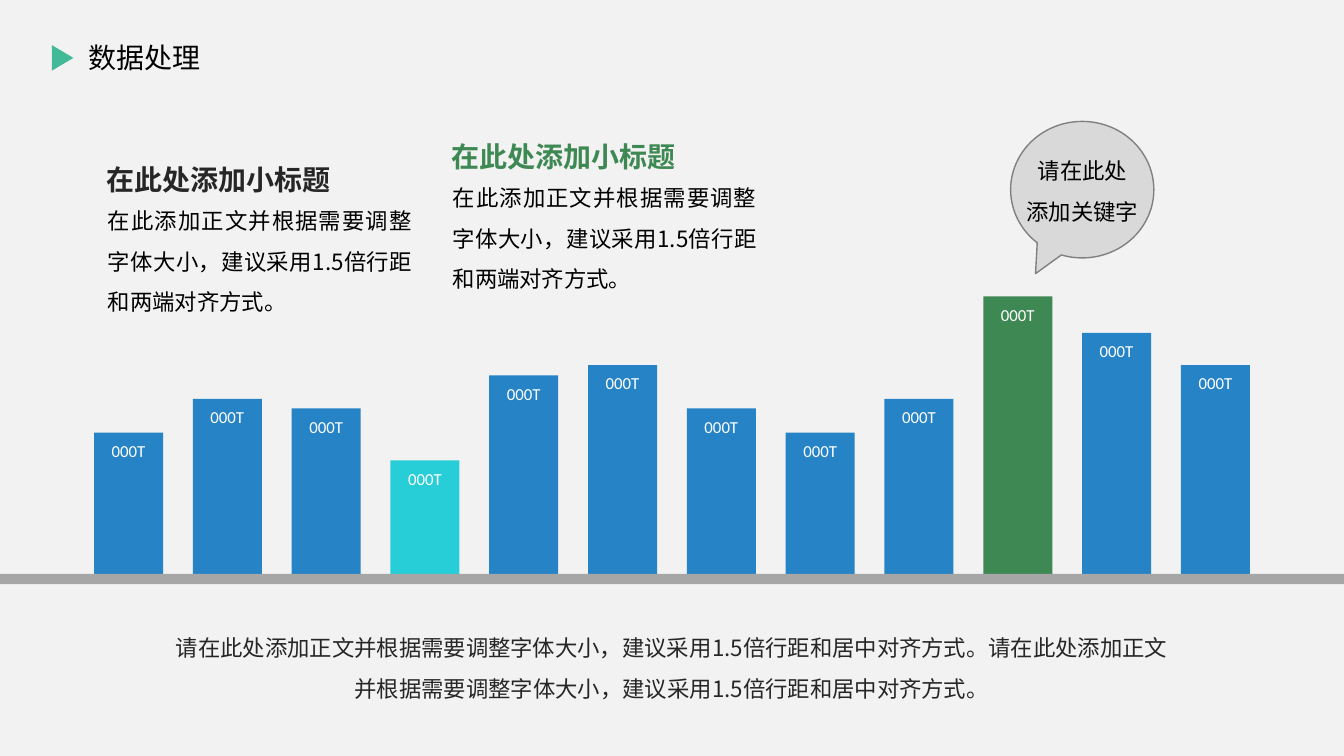
from dataclasses import dataclass
from typing import Optional

from lxml.etree import SubElement
from pptx import Presentation
from pptx.dml.color import RGBColor
from pptx.enum.shapes import MSO_SHAPE as Preset
from pptx.enum.text import MSO_ANCHOR as Anchor
from pptx.enum.text import MSO_AUTO_SIZE as AutoSize
from pptx.enum.text import PP_ALIGN as Align
from pptx.oxml.ns import qn
from pptx.util import Cm, Pt


@dataclass(frozen=True)
class Theme:
    background: str = "F2F2F2"
    blue: str = "2683C6"
    cyan: str = "27CED7"
    green: str = "3E8853"
    mint: str = "42BA97"
    ground: str = "A6A6A6"
    bubble: str = "D9D9D9"
    outline: str = "808080"
    dark: str = "262626"
    black: str = "000000"
    white: str = "FFFFFF"
    latin: str = "Calibri"
    chinese: str = "Noto Sans CJK SC"
    heading_size: int = 20
    body_size: int = 16
    label_size: int = 12


THEME = Theme()


@dataclass(frozen=True)
class Bar:
    height: float
    color: str = THEME.blue


@dataclass(frozen=True)
class Caption:
    left: float
    top: float
    color: str


# All lengths are in centimetres
BASELINE = 14.46
BAR_LEFT, BAR_PITCH, BAR_WIDTH = 2.37, 2.49, 1.74
BARS = [
    Bar(3.56), Bar(4.41), Bar(4.17), Bar(2.86, THEME.cyan),
    Bar(5.0), Bar(5.26), Bar(4.17), Bar(3.56),
    Bar(4.41), Bar(6.99, THEME.green), Bar(6.07), Bar(5.26),
]
CAPTIONS = [Caption(2.43, 3.96, THEME.dark), Caption(11.12, 3.38, THEME.green)]
CAPTION_TITLE = "在此处添加小标题"
CAPTION_BODY = "在此添加正文并根据需要调整字体大小，建议采用1.5倍行距和两端对齐方式。"
SUMMARY = (
    "请在此处添加正文并根据需要调整字体大小，建议采用1.5倍行距和居中对齐方式。"
    "请在此处添加正文并根据需要调整字体大小，建议采用1.5倍行距和居中对齐方式。"
)


def write(shape, text: str, *, size: int, color: str, font: str = THEME.chinese,
          bold: bool = False, align: Align = Align.LEFT,
          spacing: Optional[float] = None, side: float = 0, top: float = 0.13,
          wrap: bool = True, grow: bool = True) -> None:
    """Fill a shape with text, one paragraph per line."""
    frame = shape.text_frame
    frame.word_wrap = wrap
    frame.auto_size = AutoSize.SHAPE_TO_FIT_TEXT if grow else AutoSize.NONE
    frame.vertical_anchor = Anchor.TOP
    frame.margin_left = frame.margin_right = Cm(side)
    frame.margin_top, frame.margin_bottom = Cm(top), Cm(0.13)
    frame.text = text
    for paragraph in frame.paragraphs:
        paragraph.alignment = align
        if spacing:
            paragraph.line_spacing = spacing
        for run in paragraph.runs:
            run.font.size, run.font.bold, run.font.name = Pt(size), bold, font
            run.font.color.rgb = RGBColor.from_string(color)
            east_asian = SubElement(run._r.get_or_add_rPr(), qn("a:ea"))
            east_asian.set("typeface", THEME.chinese)


def add_block(shapes, preset: Preset, left: float, top: float, width: float,
              height: float, fill: str, outline: Optional[str] = None):
    block = shapes.add_shape(preset, Cm(left), Cm(top), Cm(width), Cm(height))
    block.shadow.inherit = False
    block.fill.solid()
    block.fill.fore_color.rgb = RGBColor.from_string(fill)
    if outline:
        block.line.color.rgb = RGBColor.from_string(outline)
        block.line.width = Pt(1)
    else:
        block.line.fill.background()
    return block


def add_text(shapes, left: float, top: float, width: float, height: float,
             text: str, **style) -> None:
    box = shapes.add_textbox(Cm(left), Cm(top), Cm(width), Cm(height))
    write(box, text, **style)


def add_bar(shapes, index: int, bar: Bar) -> None:
    column = add_block(shapes, Preset.RECTANGLE, BAR_LEFT + index * BAR_PITCH,
                       BASELINE - bar.height, BAR_WIDTH, bar.height, bar.color)
    write(column, "000T", size=THEME.label_size, color=THEME.white,
          font=THEME.latin, align=Align.CENTER, top=0.2, grow=False)


def add_caption(shapes, caption: Caption) -> None:
    group = shapes.add_group_shape().shapes
    add_text(group, caption.left, caption.top, 7.95, 1.11, CAPTION_TITLE,
             size=THEME.heading_size, color=caption.color, bold=True, side=0.25)
    add_text(group, caption.left + 0.29, caption.top + 0.8, 7.66, 3.23,
             CAPTION_BODY, size=THEME.body_size, color=THEME.black,
             align=Align.JUSTIFY, spacing=1.5)


def add_callout(shapes) -> None:
    group = shapes.add_group_shape().shapes
    bubble = add_block(group, Preset.OVAL_CALLOUT, 25.47, 3.06, 3.61, 3.44,
                       THEME.bubble, THEME.outline)
    bubble.adjustments[0], bubble.adjustments[1] = -0.326, 0.615
    # Unfilled keyword, high enough for its wide line to fit the oval
    add_text(group, 25.86, 3.5, 2.84, 2.18, "请在此处\n添加关键字",
             size=THEME.body_size, color=THEME.black, align=Align.CENTER,
             spacing=1.5, wrap=False)


def add_title(shapes) -> None:
    group = shapes.add_group_shape().shapes
    add_text(group, 1.98, 0.89, 3.35, 1.11, "数据处理", font=THEME.latin,
             size=THEME.heading_size, color=THEME.black, side=0.25, wrap=False)
    marker = add_block(group, Preset.ISOSCELES_TRIANGLE, 1.26, 1.19, 0.64, 0.54,
                       THEME.mint)
    marker.rotation = 90


def main() -> None:
    deck = Presentation()
    deck.slide_width, deck.slide_height = Cm(33.87), Cm(19.05)
    slide = deck.slides.add_slide(deck.slide_layouts[6])
    slide.background.fill.solid()
    slide.background.fill.fore_color.rgb = RGBColor.from_string(THEME.background)
    shapes = slide.shapes

    # Bars standing on the ground line
    for index, bar in enumerate(BARS):
        add_bar(shapes, index, bar)
    add_block(shapes, Preset.RECTANGLE, 0, BASELINE, 33.87, 0.26, THEME.ground)

    # Summary under the bars
    add_text(shapes, 4.19, 15.52, 25.48, 2.18, SUMMARY, size=THEME.body_size,
             color=THEME.dark, align=Align.CENTER, spacing=1.5)

    # Captions, keyword bubble and slide title
    for caption in CAPTIONS:
        add_caption(shapes, caption)
    add_callout(shapes)
    add_title(shapes)

    deck.save("out.pptx")


if __name__ == "__main__":
    main()
